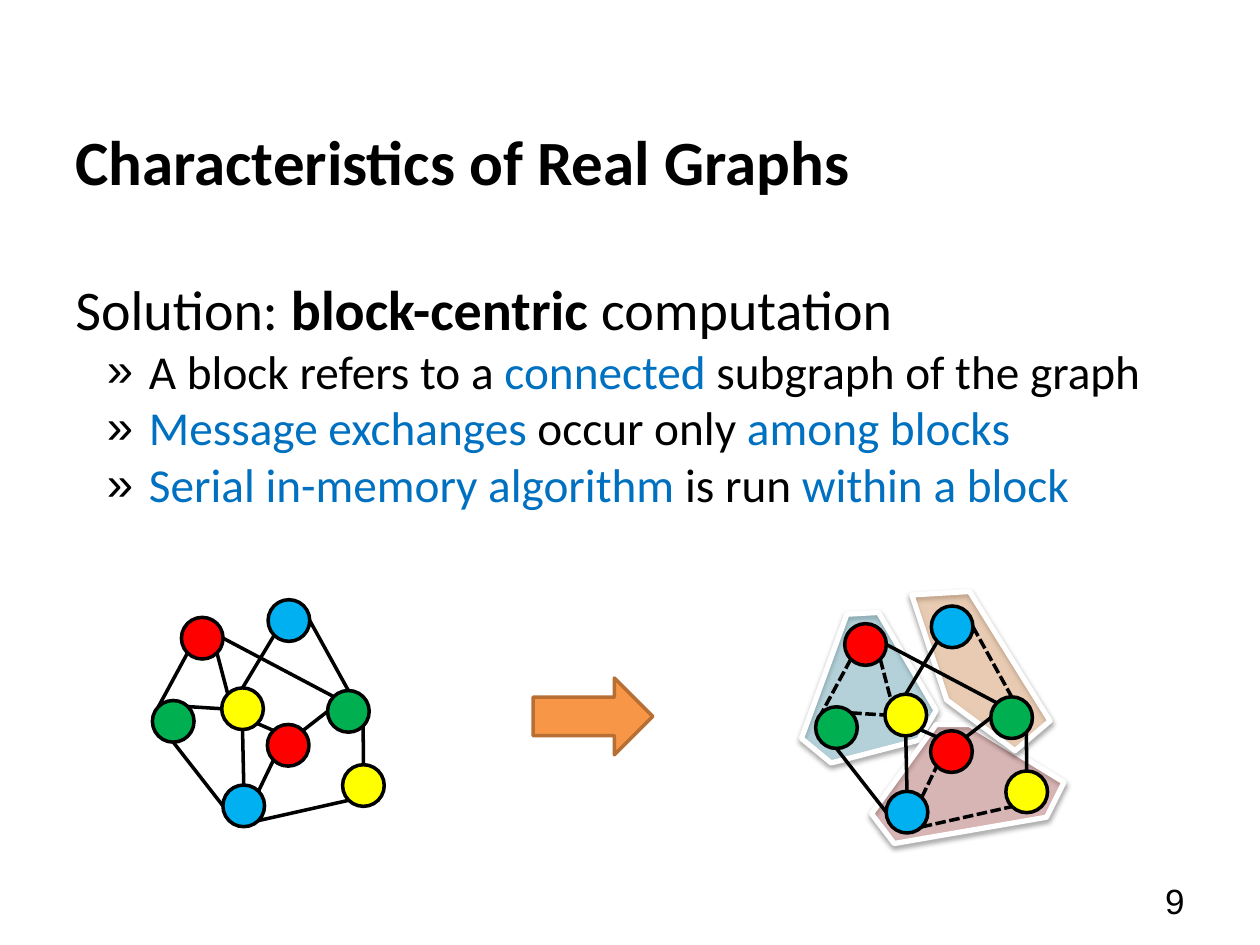
from dataclasses import dataclass
from math import cos, radians, sin

from pptx import Presentation
from pptx.dml.color import RGBColor
from pptx.enum.dml import MSO_LINE
from pptx.enum.shapes import MSO_CONNECTOR, MSO_SHAPE
from pptx.enum.text import MSO_ANCHOR as Anchor, PP_ALIGN as Align
from pptx.oxml.ns import qn
from pptx.oxml.xmlchemy import OxmlElement as Element
from pptx.util import Pt

COLORS = {
    "black": "000000", "white": "FFFFFF", "accent": "0070C0",
    "red": "FF0000", "green": "00B050", "blue": "00B0F0", "yellow": "FFFF00",
    "arrow": "F79646", "arrow_edge": "B76F34",
    "teal_block": "4BACC6", "rose_block": "C0504D", "orange_block": "F79646",
}
NODE_SIZE = 23.8
SITE_ANGLES = {"E": 0, "SE": 45, "S": 90, "SW": 135, "W": 180, "NW": 225, "N": 270, "NE": 315}


@dataclass(frozen=True)
class Node:
    left: float
    top: float
    color: str


@dataclass(frozen=True)
class Edge:
    start: str
    start_site: str
    end: str
    end_site: str
    inside_block: bool = False


@dataclass(frozen=True)
class Block:
    color: str
    corners: tuple


@dataclass(frozen=True)
class Span:
    text: str
    color: str = "black"
    bold: bool = False


NODES = {
    "center": Node(126.7, 393.1, "yellow"),
    "west": Node(87.1, 400.3, "green"),
    "northwest": Node(103.7, 352.8, "red"),
    "south": Node(127.4, 448.6, "blue"),
    "middle": Node(152.8, 414, "red"),
    "north": Node(153.2, 342.7, "blue"),
    "southeast": Node(195.8, 437, "yellow"),
    "east": Node(187.2, 394.6, "green"),
}
EDGES = [
    Edge("northwest", "SW", "west", "NW", True),
    Edge("west", "S", "south", "W"),
    Edge("northwest", "SE", "center", "NW", True),
    Edge("northwest", "E", "east", "NW"),
    Edge("north", "E", "east", "N", True),
    Edge("east", "SE", "southeast", "N"),
    Edge("south", "SE", "southeast", "SW", True),
    Edge("west", "NE", "center", "W", True),
    Edge("middle", "NE", "east", "W"),
    Edge("south", "N", "center", "S"),
    Edge("south", "NE", "middle", "SW", True),
    Edge("middle", "NW", "center", "SE"),
    Edge("center", "N", "north", "SW"),
]
BLOCKS = [
    Block("teal_block", ((483.8, 350.6), (457.9, 421.9), (475.2, 435.6),
                         (524.9, 423.4), (535, 406.1), (501.8, 349.9))),
    Block("rose_block", ((535, 414), (553.7, 414), (607.7, 447.1),
                         (597.6, 467.3), (511.2, 481.7), (498.2, 465.1))),
    Block("orange_block", ((599.8, 411.8), (580.3, 429.1), (541.4, 399.6),
                           (521.3, 339.8), (554.4, 338.4))),
]
HEADLINE = [Span("Solution: "), Span("block-centric", bold=True), Span(" computation")]
BULLETS = [
    [Span("A block refers to a "), Span("connected ", "accent"),
     Span("subgraph of the graph")],
    [Span("Message exchanges", "accent"), Span(" occur only "),
     Span("among blocks", "accent")],
    [Span("Serial in-memory algorithm ", "accent"), Span("is run "),
     Span("within a block", "accent")],
]


def rgb(name: str) -> RGBColor:
    return RGBColor.from_string(COLORS[name])


def add_child(parent, tag: str, **attributes):
    child = Element(tag)
    for name, value in attributes.items():
        child.set(name, str(value))
    parent.append(child)
    return child


def add_box(page, left: float, top: float, width: float, height: float, anchor):
    frame = page.shapes.add_textbox(Pt(left), Pt(top), Pt(width), Pt(height)).text_frame
    frame.word_wrap = True
    frame.vertical_anchor = anchor
    return frame


def write(para, spans: list, size: float, font: str = "Calibri") -> None:
    for span in spans:
        run = para.add_run()
        run.text = span.text
        formats = {"name": font, "size": Pt(size), "bold": span.bold}
        for name, value in formats.items():
            setattr(run.font, name, value)
        run.font.color.rgb = rgb(span.color)


def make_bullet(para) -> None:
    props = para._p.get_or_add_pPr()
    for name, value in {"marL": Pt(42), "indent": Pt(-24)}.items():
        props.set(name, str(value))
    add_child(add_child(props, "a:buClr"), "a:srgbClr", val=COLORS["black"])
    add_child(props, "a:buFont", typeface="Arial")
    add_child(props, "a:buChar", char="»")


def paint(shape, fill: str, line: str, width: float) -> None:
    shape.shadow.inherit = False
    shape.fill.solid()
    shape.fill.fore_color.rgb = rgb(fill)
    shape.line.color.rgb = rgb(line)
    shape.line.width = Pt(width)


def draw_block(page, block: Block) -> None:
    """Draw a translucent, shadowed region behind the nodes of one block."""
    first, *others = block.corners
    builder = page.shapes.build_freeform(*first, scale=Pt(1))
    builder.add_line_segments(others, close=True)
    region = builder.convert_to_shape()
    paint(region, block.color, "white", 3)
    props = region.element.spPr
    add_child(props.find(qn("a:solidFill"))[0], "a:alpha", val=30000)
    shadow = add_child(props.find(qn("a:effectLst")), "a:outerShdw", blurRad=Pt(3.1),
                       dist=Pt(1.6), dir=90 * 60000, rotWithShape=0)
    add_child(add_child(shadow, "a:srgbClr", val=COLORS["black"]), "a:alpha", val=38000)


def site_point(node: Node, site: str) -> tuple:
    """Return the point on the rim of a node in a compass direction."""
    radius, angle = NODE_SIZE / 2, radians(SITE_ANGLES[site])
    return (node.left + radius * (1 + cos(angle)), node.top + radius * (1 + sin(angle)))


def draw_graph(page, shift_x: float = 0, shift_y: float = 0, dash_blocks: bool = False) -> None:
    for node in NODES.values():
        circle = page.shapes.add_shape(MSO_SHAPE.OVAL, Pt(node.left + shift_x),
                                       Pt(node.top + shift_y), Pt(NODE_SIZE), Pt(NODE_SIZE))
        paint(circle, node.color, "black", 2)
    for edge in EDGES:
        x1, y1 = site_point(NODES[edge.start], edge.start_site)
        x2, y2 = site_point(NODES[edge.end], edge.end_site)
        link = page.shapes.add_connector(
            MSO_CONNECTOR.STRAIGHT, Pt(x1 + shift_x), Pt(y1 + shift_y),
            Pt(x2 + shift_x), Pt(y2 + shift_y))
        link.line.color.rgb = rgb("black")
        link.line.width = Pt(2)
        if dash_blocks and edge.inside_block:
            link.line.dash_style = MSO_LINE.SQUARE_DOT
        add_child(link.element.spPr, "a:effectLst")


def main() -> None:
    deck = Presentation()
    deck.slide_width, deck.slide_height = Pt(720), Pt(540)
    page = deck.slides.add_slide(deck.slide_layouts[6])

    title = add_box(page, 36, 46.8, 648, 90, Anchor.MIDDLE)
    write(title.paragraphs[0], [Span("Characteristics of Real Graphs", bold=True)], 36)

    body = add_box(page, 36, 153.4, 661.7, 332.6, Anchor.TOP)
    write(body.paragraphs[0], HEADLINE, 32)
    for spans in BULLETS:
        para = body.add_paragraph()
        make_bullet(para)
        write(para, spans, 27)

    number = add_box(page, 516.2, 500.4, 167.8, 28.8, Anchor.MIDDLE)
    number.paragraphs[0].alignment = Align.RIGHT
    write(number.paragraphs[0], [Span("9")], 20, "Arial")

    for block in BLOCKS:
        draw_block(page, block)
    draw_graph(page, 379, 3.6, dash_blocks=True)
    draw_graph(page)

    arrow = page.shapes.add_shape(MSO_SHAPE.RIGHT_ARROW, Pt(304.6), Pt(387.4), Pt(68.4), Pt(43.9))
    paint(arrow, "arrow", "arrow_edge", 2)
    deck.save("out.pptx")


if __name__ == "__main__":
    main()
